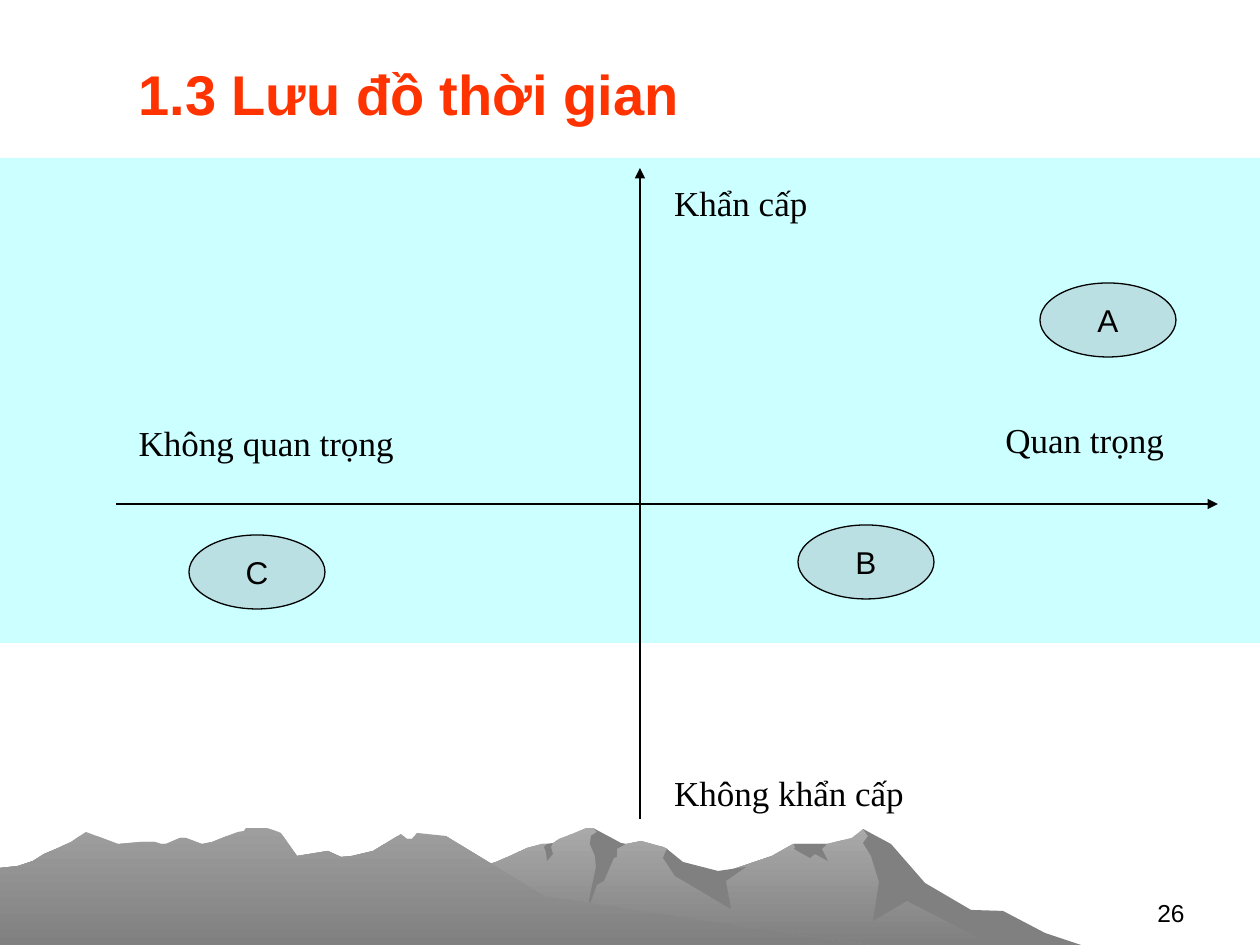
import pptx
import pptx.util
import pptx.dml.color
import pptx.enum.text
import pptx.enum.shapes
import pptx.oxml.ns
import lxml.etree

SCALE = 914400 / 126
SHAPE = pptx.enum.shapes.MSO_SHAPE
ALIGN = pptx.enum.text.PP_ALIGN
ANCHOR = pptx.enum.text.MSO_ANCHOR
NO_GRID = "{2D5ABB26-0587-4C30-8999-92F81FD0307C}"


class Theme:
    band = "CCFFFF"
    ridge = ("A9A9A9", "808080")
    front = ("9E9E9E", "808080")
    shade = "808080"
    dot = "BBE0E3"
    ink = "000000"
    line = 0.75
    title = {"name": "Arial", "size": pptx.util.Pt(32), "bold": True, "color": "FF3300"}
    label = {"name": "Times New Roman", "size": pptx.util.Pt(20), "color": ink}
    mark = {"name": "Arial", "size": pptx.util.Pt(18), "color": ink}
    page = {"name": "Arial", "size": pptx.util.Pt(14), "color": ink}


RIDGE = [
    (1011, 102), (980, 86), (963, 82), (911, 50), (885, 16), (863, 1), (852, 10),
    (827, 16), (793, 16), (772, 28), (713, 48), (675, 39), (667, 21), (663, 19),
    (641, 13), (626, 16), (612, 19), (597, 3), (593, 0), (586, 0), (567, 8),
    (559, 11), (552, 16), (542, 16), (527, 20), (510, 28), (496, 34), (447, 50),
    (412, 64), (349, 101), (325, 117), (1034, 117)]
SHADES = [
    [(1003, 83), (971, 82), (925, 55), (891, 16), (863, 1), (868, 8), (863, 15),
     (871, 28), (879, 54), (873, 93), (907, 73), (993, 117), (1081, 117), (1045, 105)],
    [(593, 0), (597, 4), (591, 8), (590, 16), (595, 28), (596, 39), (586, 87),
     (597, 57), (604, 53), (614, 30), (617, 29), (617, 21), (626, 16), (621, 15)],
    [(667, 21), (665, 25), (663, 30), (675, 48), (731, 81), (726, 53), (746, 39),
     (718, 43), (683, 34)],
    [(819, 16), (794, 16), (795, 20), (794, 21), (810, 30), (815, 26), (828, 33),
     (822, 21), (827, 16)],
    [(546, 24), (544, 19), (547, 16), (553, 15), (551, 19), (553, 26), (547, 33)]]
FRONT = [
    (869, 117), (840, 113), (544, 68), (446, 8), (417, 5), (412, 11), (407, 11),
    (401, 6), (373, 23), (352, 28), (341, 29), (328, 23), (297, 28), (281, 5),
    (276, 3), (267, 0), (246, 0), (244, 3), (238, 4), (227, 8), (212, 14),
    (202, 16), (186, 10), (180, 10), (166, 16), (161, 16), (155, 14), (140, 14),
    (118, 16), (86, 4), (71, 14), (58, 20), (44, 26), (33, 33), (18, 38),
    (0, 40), (0, 117)]


def emu(*px):
    return [pptx.util.Emu(round(n * SCALE)) for n in px]


def tint(code):
    return pptx.dml.color.RGBColor.from_string(code)


def put(item, vals):
    for key, val in vals.items():
        setattr(item, key, val)


def write(para, text, style):
    run = para.add_run()
    run.text = text
    put(run.font, {k: v for k, v in style.items() if k != "color"})
    run.font.color.rgb = tint(style["color"])


def paint(shape, fill):
    shape.shadow.inherit = False
    if isinstance(fill, tuple):
        shape.fill.gradient()
        shape.fill.gradient_angle = 270
        for stop, code in zip(shape.fill.gradient_stops, fill):
            stop.color.rgb = tint(code)
    else:
        shape.fill.solid()
        shape.fill.fore_color.rgb = tint(fill)
    shape.line.fill.background()


def text(slide, box, words, style, **form):
    frame = slide.shapes.add_textbox(*emu(*box)).text_frame
    put(frame, {"word_wrap": True, "vertical_anchor": form.get("anchor", ANCHOR.TOP)})
    para = frame.paragraphs[0]
    para.alignment = form.get("align", ALIGN.LEFT)
    write(para, words, style)


def band(slide, box):
    paint(slide.shapes.add_shape(SHAPE.RECTANGLE, *emu(*box)), Theme.band)


def hills(slide, box):
    layers = [(RIDGE, Theme.ridge), *((pts, Theme.shade) for pts in SHADES),
              (FRONT, Theme.front)]
    for pts, fill in layers:
        form = slide.shapes.build_freeform(*pts[0], scale=SCALE)
        form.add_line_segments(pts[1:], close=True)
        paint(form.convert_to_shape(*emu(*box[:2])), fill)


def clear(cell):
    props = cell._tc.get_or_add_tcPr()
    for side in ("a:lnL", "a:lnR", "a:lnT", "a:lnB"):
        edge = lxml.etree.SubElement(props, pptx.oxml.ns.qn(side))
        lxml.etree.SubElement(edge, pptx.oxml.ns.qn("a:noFill"))
    cell.fill.background()


def grid(slide, box):
    table = slide.shapes.add_table(2, 2, *emu(*box)).table
    put(table, {"first_row": False, "horz_banding": False})
    table._tbl.tblPr.find(pptx.oxml.ns.qn("a:tableStyleId")).text = NO_GRID
    for row, high in zip(table.rows, emu(350, 315)):
        row.height = high
    for cell in table.iter_cells():
        clear(cell)
    top, low = ANCHOR.TOP, ANCHOR.BOTTOM
    labels = [(0, 0, low, 65, ["Không quan trọng"]),
              (0, 1, top, 6, ["Khẩn cấp", "Quan trọng"]),
              (1, 1, low, 30, ["Không khẩn cấp"])]
    for row, col, side, gap, lines in labels:
        cell = table.cell(row, col)
        put(cell, {"vertical_anchor": side, "margin_bottom": emu(gap)[0],
                   "margin_right": emu(33)[0]})
        for at, words in enumerate(lines):
            frame = cell.text_frame
            para = frame.add_paragraph() if at else frame.paragraphs[0]
            if at:
                put(para, {"alignment": ALIGN.RIGHT, "space_before": pptx.util.Pt(113)})
            write(para, words, Theme.label)


def stroke(line):
    line.color.rgb = tint(Theme.ink)
    line.width = pptx.util.Pt(Theme.line)


def arrow(slide, ends):
    link = slide.shapes.add_connector(
        pptx.enum.shapes.MSO_CONNECTOR.STRAIGHT, *emu(*ends))
    stroke(link.line)
    tail = lxml.etree.SubElement(link.line._get_or_add_ln(), pptx.oxml.ns.qn("a:tailEnd"))
    tail.set("type", "triangle")
    lxml.etree.SubElement(link._element.spPr, pptx.oxml.ns.qn("a:effectLst"))


def mark(slide, box, name):
    dot = slide.shapes.add_shape(SHAPE.OVAL, *emu(*box))
    paint(dot, Theme.dot)
    stroke(dot.line)
    put(dot.text_frame, {"word_wrap": False, "vertical_anchor": ANCHOR.MIDDLE})
    para = dot.text_frame.paragraphs[0]
    para.alignment = ALIGN.CENTER
    write(para, name, Theme.mark)


def matrix(slide, box):
    x, y, wide, high = box
    grid(slide, (x + 10, y + 11, 1071, 665))
    arrow(slide, (x, y + 336, x + wide, y + 336))
    arrow(slide, (x + 524, y + high, x + 524, y))
    for name, dx, dy in (("C", 73, 367), ("B", 682, 357), ("A", 924, 115)):
        mark(slide, (x + dx, y + dy, 136, 74), name)


def main():
    deck = pptx.Presentation()
    put(deck, dict(zip(("slide_width", "slide_height"), emu(1260, 945))))
    slide = deck.slides.add_slide(deck.slide_layouts[6])
    band(slide, (0, 158, 1260, 485))
    hills(slide, (0, 828, 1081, 117))
    text(slide, (126, 38, 1071, 110), "1.3 Lưu đồ thời gian", Theme.title,
         anchor=ANCHOR.MIDDLE)
    matrix(slide, (116, 168, 1102, 651))
    text(slide, (903, 892, 294, 34), "26", Theme.page, align=ALIGN.RIGHT)
    deck.save("out.pptx")


if __name__ == "__main__":
    main()
